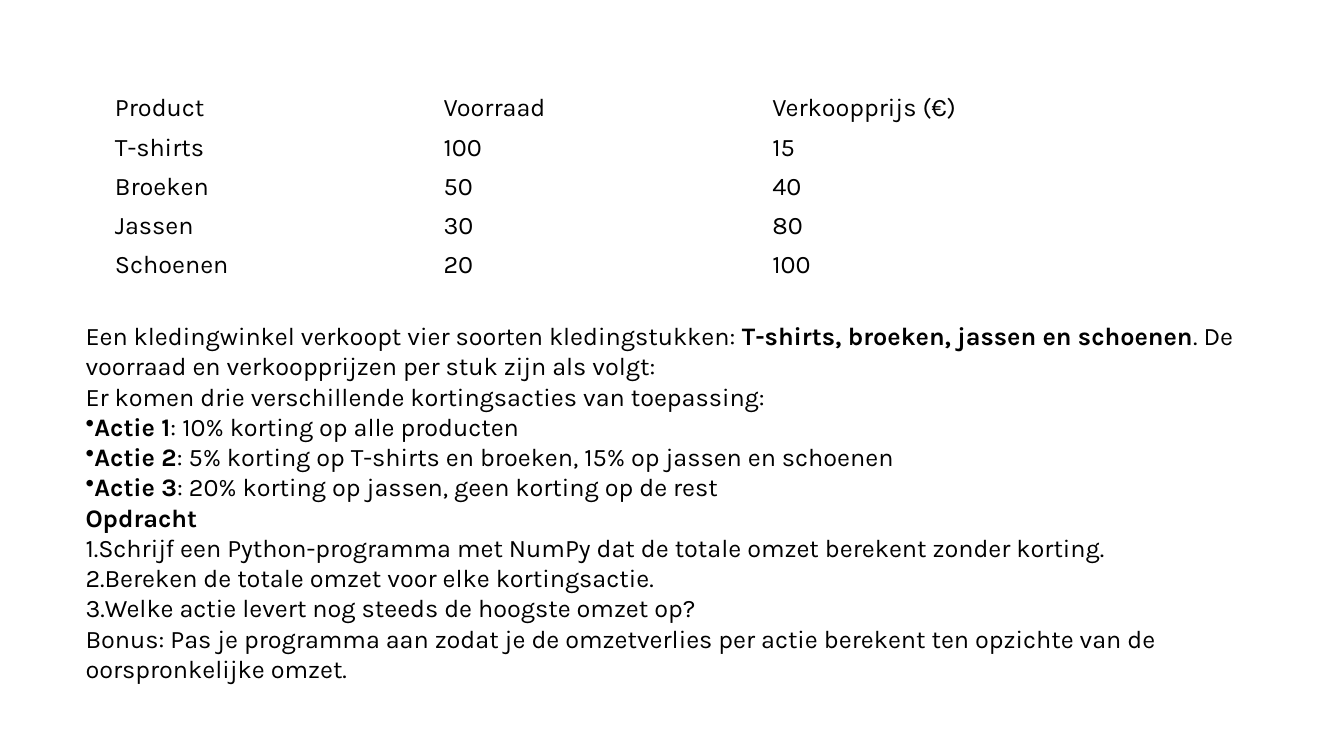
import pptx
import pptx.dml.color
import pptx.enum.text
import pptx.oxml.ns
import pptx.util
from lxml import etree

# Content
STOCK = [
    ("Product", "Voorraad", "Verkoopprijs (€)"),
    ("T-shirts", "100", "15"),
    ("Broeken", "50", "40"),
    ("Jassen", "30", "80"),
    ("Schoenen", "20", "100"),
]
# Each paragraph: list kind, then spans of (text, bold)
EXERCISE = [
    ("plain", [("Een kledingwinkel verkoopt vier soorten kledingstukken: ", False),
               ("T-shirts, broeken, jassen en schoenen", True),
               (". De voorraad en verkoopprijzen per stuk zijn als volgt:", False)]),
    ("plain", [("Er komen drie verschillende kortingsacties van toepassing:", False)]),
    ("bullet", [("Actie 1", True), (": 10% korting op alle producten", False)]),
    ("bullet", [("Actie 2", True),
                (": 5% korting op T-shirts en broeken, 15% op jassen en schoenen", False)]),
    ("bullet", [("Actie 3", True), (": 20% korting op jassen, geen korting op de rest", False)]),
    ("plain", [("Opdracht", True)]),
    ("number", [("Schrijf een Python-programma met NumPy dat de totale omzet berekent "
                 "zonder korting.", False)]),
    ("number", [("Bereken de totale omzet voor elke kortingsactie.", False)]),
    ("number", [("Welke actie levert nog steeds de hoogste omzet op?", False)]),
    ("plain", [("Bonus: Pas je programma aan zodat je de omzetverlies per actie berekent "
                "ten opzichte van de oorspronkelijke omzet.", False)]),
]
LIST_MARKS = {
    "bullet": ("a:buChar", {"char": "•"}),
    "number": ("a:buAutoNum", {"type": "arabicPeriod"}),
}

# Theme and grid
THEME = {"font": "Karla", "size": 18, "ink": pptx.dml.color.RGBColor(0, 0, 0)}
PAGE_SIZE = (13.33, 7.5)
TABLE_LEFT, TABLE_TOP = 1.04, 0.88
COLUMN, ROW = 3.26, 0.39
CELL_MARGIN = 0.04
TEXT_AREA = (0.75, 3.13, 12.5, 3.74)

inch = pptx.util.Inches


def style(span, bold=False):
    span.font.name = THEME["font"]
    span.font.size = pptx.util.Pt(THEME["size"])
    span.font.color.rgb = THEME["ink"]
    span.font.bold = bold


def add_stock_table(page):
    rows, columns = len(STOCK), len(STOCK[0])
    table = page.shapes.add_table(rows, columns, inch(TABLE_LEFT), inch(TABLE_TOP),
                                  inch(columns * COLUMN), inch(rows * ROW)).table
    table.first_row = table.horz_banding = False
    for row, values in enumerate(STOCK):
        for column, value in enumerate(values):
            cell = table.cell(row, column)
            cell.fill.background()
            cell.margin_top = cell.margin_bottom = inch(CELL_MARGIN)
            cell.vertical_anchor = pptx.enum.text.MSO_ANCHOR.MIDDLE
            cell.text_frame.text = value
            style(cell.text_frame.paragraphs[0].runs[0])


def add_exercise(page):
    box = page.shapes.add_textbox(*map(inch, TEXT_AREA))
    frame = box.text_frame
    frame.word_wrap = True
    frame.auto_size = pptx.enum.text.MSO_AUTO_SIZE.SHAPE_TO_FIT_TEXT
    for index, (kind, spans) in enumerate(EXERCISE):
        para = frame.add_paragraph() if index else frame.paragraphs[0]
        for text, bold in spans:
            span = para.add_run()
            span.text = text
            style(span, bold)
        # List mark without indent
        if kind in LIST_MARKS:
            tag, attributes = LIST_MARKS[kind]
            properties = para._p.get_or_add_pPr()
            etree.SubElement(properties, pptx.oxml.ns.qn(tag), attributes)


def main():
    deck = pptx.Presentation()
    deck.slide_width, deck.slide_height = map(inch, PAGE_SIZE)
    page = deck.slides.add_slide(deck.slide_layouts.get_by_name("Blank"))
    add_stock_table(page)
    add_exercise(page)
    deck.save("out.pptx")


if __name__ == "__main__":
    main()
